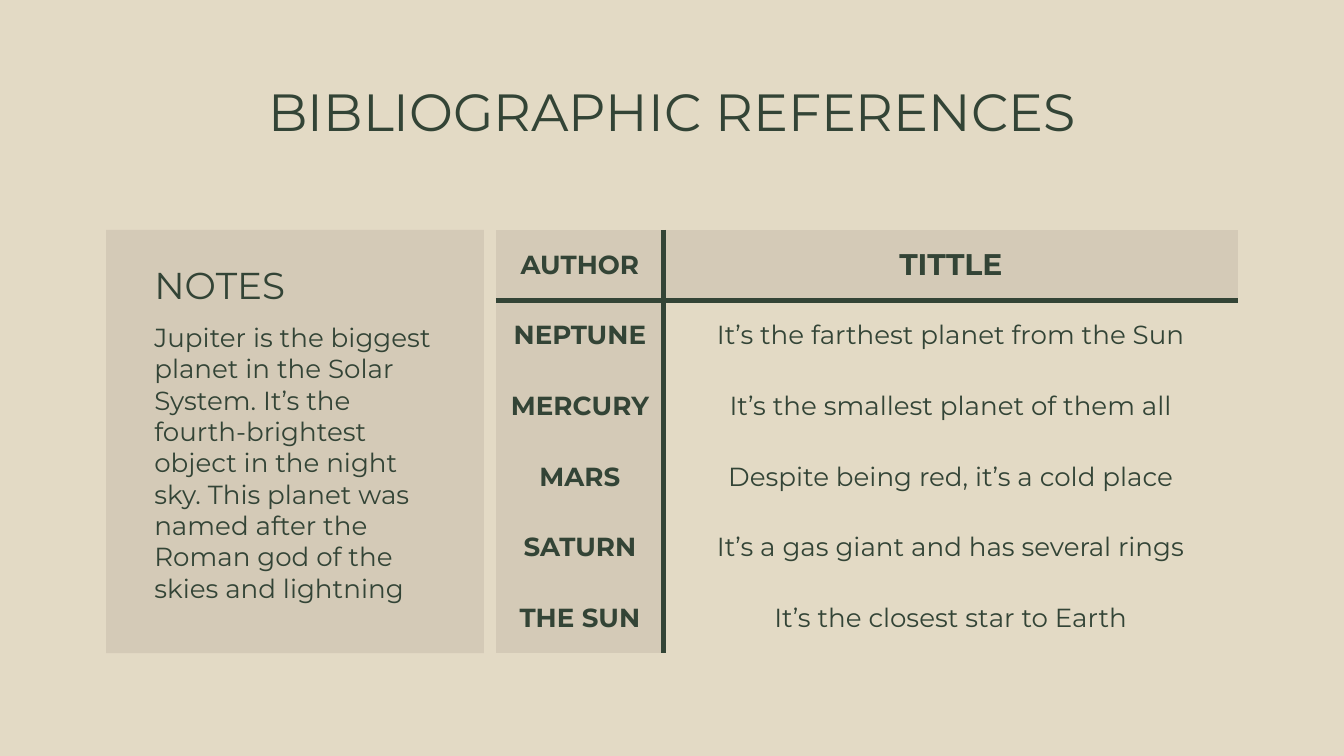
import pptx
import pptx.util
import pptx.dml.color
import pptx.enum.shapes
import pptx.enum.text
import pptx.oxml.ns
import lxml.etree

Inches = pptx.util.Inches
ALIGN = pptx.enum.text.PP_ALIGN
INK, SAND, PAPER = "334436", "D4CAB7", "E3DAC5"
ROWS = [
    ("AUTHOR", "TITTLE"),
    ("NEPTUNE", "It’s the farthest planet from the Sun"),
    ("MERCURY", "It’s the smallest planet of them all"),
    ("MARS", "Despite being red, it’s a cold place"),
    ("SATURN", "It’s a gas giant and has several rings"),
    ("THE SUN", "It’s the closest star to Earth"),
]
NOTE = ("Jupiter is the biggest planet in the Solar System. It’s the "
        "fourth-brightest object in the night sky. This planet was named "
        "after the Roman god of the skies and lightning")


def paint(fill, color):
    fill.solid()
    fill.fore_color.rgb = pptx.dml.color.RGBColor.from_string(color)


def write(frame, text, size, align=ALIGN.LEFT, bold=False):
    frame.word_wrap = True
    para = frame.paragraphs[0]
    para.text = text
    para.alignment = align
    font = para.font
    font.name, font.size, font.bold = "Montserrat", pptx.util.Pt(size), bold
    paint(font.fill, INK)


def inset(item):
    item.margin_left = item.margin_right = Inches(0.1)
    item.margin_top = item.margin_bottom = Inches(0.1)


def label(slide, box, text, size, align=ALIGN.LEFT):
    shape = slide.shapes.add_textbox(*map(Inches, box))
    inset(shape.text_frame)
    write(shape.text_frame, text, size, align)


def notes(slide, left, top, width, height):
    panel = slide.shapes.add_shape(
        pptx.enum.shapes.MSO_SHAPE.RECTANGLE,
        *map(Inches, (left, top, width, height)))
    panel.shadow.inherit = False
    paint(panel.fill, SAND)
    panel.line.fill.background()
    label(slide, (left + 0.26, top + 0.58, 2.36, 2.36), NOTE, 14)
    label(slide, (left + 0.26, top + 0.14, 2.28, 0.44), "NOTES", 20)


def border(cell, drawn):
    qn = pptx.oxml.ns.qn
    props = cell._tc.get_or_add_tcPr()
    for side in "LRTB":
        line = lxml.etree.SubElement(props, qn("a:ln" + side))
        if side in drawn:
            line.set("w", str(pptx.util.Pt(3)))
            fill = lxml.etree.SubElement(line, qn("a:solidFill"))
            lxml.etree.SubElement(fill, qn("a:srgbClr"), val=INK)
        else:
            lxml.etree.SubElement(line, qn("a:noFill"))


def grid(slide, left, top, width, height):
    table = slide.shapes.add_table(
        len(ROWS), 2, *map(Inches, (left, top, width, height))).table
    table.horz_banding = False
    table.columns[0].width = Inches(1.25)
    table.columns[1].width = Inches(width - 1.25)
    for r, texts in enumerate(ROWS):
        table.rows[r].height = Inches(height / len(ROWS))
        for c, text in enumerate(texts):
            cell = table.cell(r, c)
            inset(cell)
            cell.vertical_anchor = pptx.enum.text.MSO_ANCHOR.MIDDLE
            border(cell, "RL"[c] + {0: "B", 1: "T"}.get(r, ""))
            head = r == 0 or c == 0
            if head:
                paint(cell.fill, SAND)
            else:
                cell.fill.background()
            size = 16 if (r, c) == (0, 1) else 14
            write(cell.text_frame, text, size, ALIGN.CENTER, head)


def main():
    deck = pptx.Presentation()
    deck.slide_width = Inches(10)
    deck.slide_height = deck.slide_width * 9 // 16
    slide = deck.slides.add_slide(deck.slide_layouts[6])
    paint(slide.background.fill, PAPER)
    label(slide, (0.79, 0.49, 8.42, 0.63), "BIBLIOGRAPHIC REFERENCES", 28,
          ALIGN.CENTER)
    notes(slide, 0.79, 1.71, 2.81, 3.15)
    grid(slide, 3.69, 1.71, 5.52, 3.15)
    deck.save("out.pptx")


if __name__ == "__main__":
    main()
